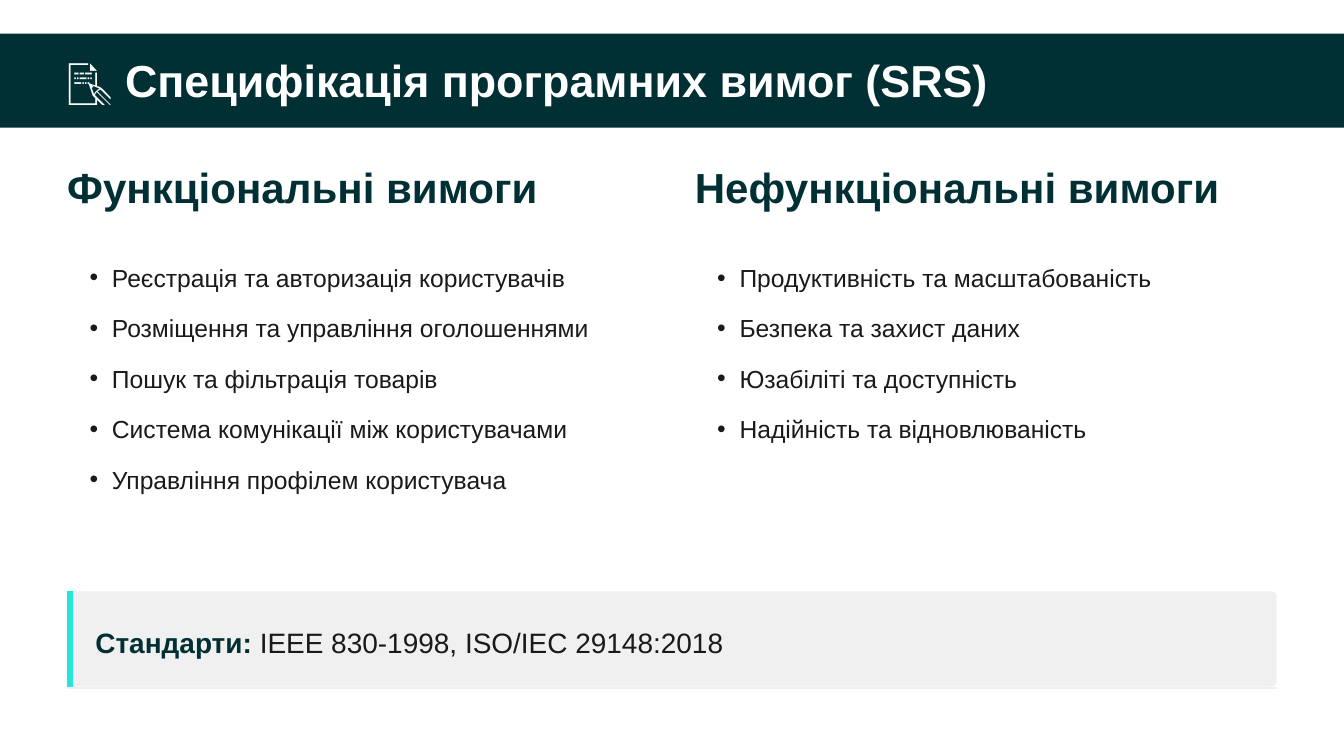
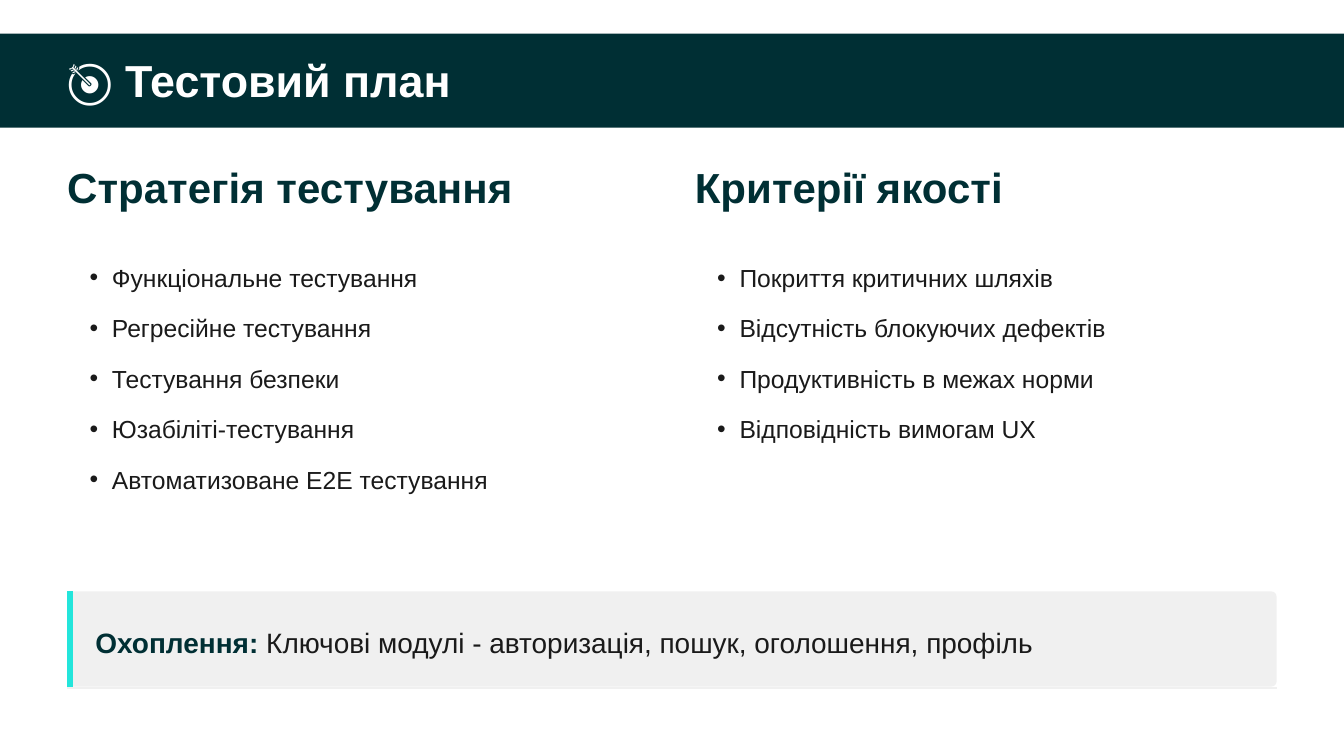
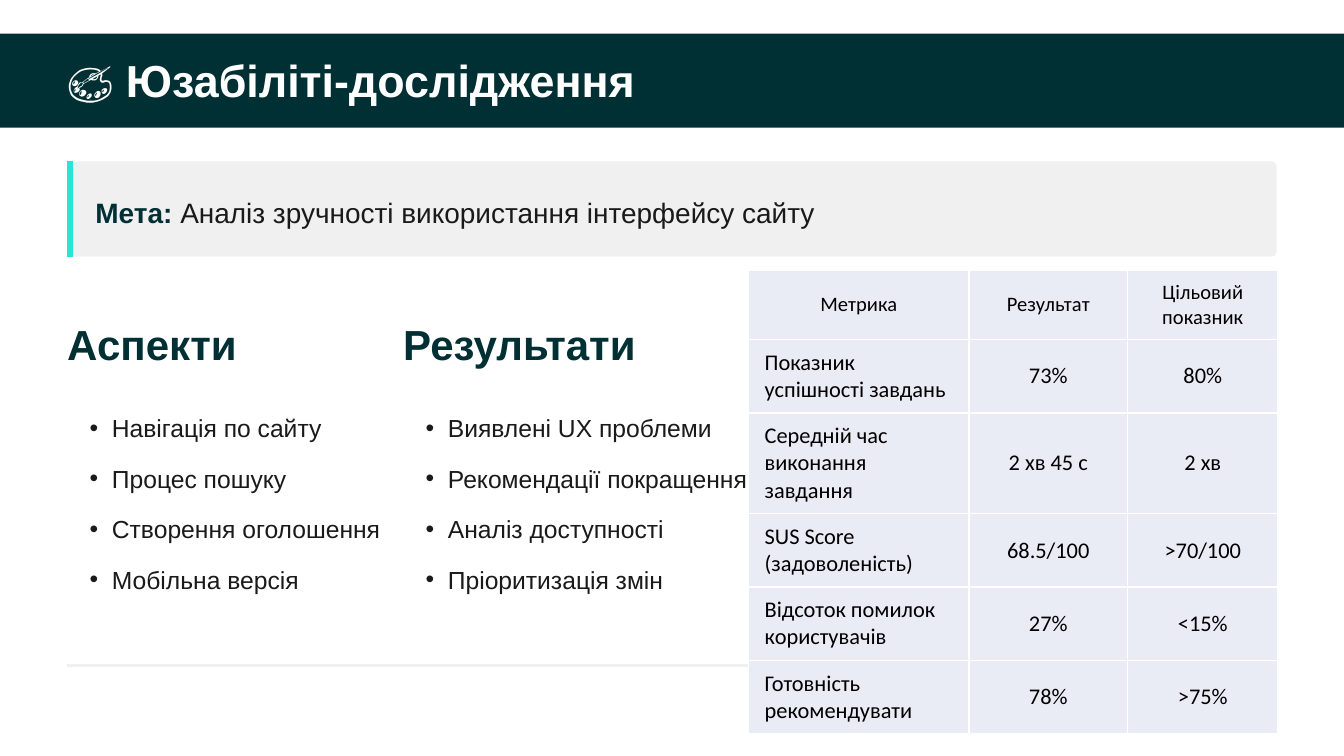
from dataclasses import dataclass

from lxml.etree import SubElement
from pptx import Presentation
from pptx.dml.color import RGBColor
from pptx.enum.shapes import MSO_CONNECTOR, MSO_SHAPE
from pptx.enum.text import MSO_ANCHOR, MSO_AUTO_SIZE, PP_ALIGN
from pptx.oxml.ns import qn
from pptx.util import Inches, Pt


@dataclass(frozen=True)
class Theme:
    font: str = "Arial"
    table_font: str = "Calibri"
    dark: str = "002F34"
    accent: str = "23E5DB"
    panel: str = "F0F0F0"
    cell: str = "E9EBF5"
    ink: str = "1A1A1A"
    black: str = "000000"
    white: str = "FFFFFF"
    title: float = 24
    heading: float = 22.5
    callout: float = 15
    body: float = 13.2
    table_head: float = 11
    table_body: float = 12


T = Theme()
W = 10
H = W * 9 / 16
MARGIN = 0.5
CONTENT_W = W - 2 * MARGIN
BAND_TOP, BAND_H = 0.25, 0.7
CALLOUT_H = 0.71
BULLET_INDENT = 12 / 72
BULLET_STEP = (19.8 + 7.2) / 72

# Each column: left, heading width, list width, heading, items
SLIDES = [
    {
        "title": "📝 Специфікація програмних вимог (SRS)",
        "title_w": 7.08,
        "callout": (4.4, "Стандарти:", " IEEE 830-1998, ISO/IEC 29148:2018"),
        "divider": 5.12,
        "list_tops": (1.2, 1.9),
        "columns": [
            (0.5, 4.42, 4.33, "Функціональні вимоги", [
                "Реєстрація та авторизація користувачів",
                "Розміщення та управління оголошеннями",
                "Пошук та фільтрація товарів",
                "Система комунікації між користувачами",
                "Управління профілем користувача"]),
            (5.17, 4.42, 4.33, "Нефункціональні вимоги", [
                "Продуктивність та масштабованість",
                "Безпека та захист даних",
                "Юзабіліті та доступність",
                "Надійність та відновлюваність"]),
        ],
    },
    {
        "title": "🎯 Тестовий план",
        "title_w": 4.6,
        "callout": (4.4, "Охоплення:", " Ключові модулі - авторизація, пошук, оголошення, профіль"),
        "divider": 5.12,
        "list_tops": (1.2, 1.9),
        "columns": [
            (0.5, 4.42, 4.33, "Стратегія тестування", [
                "Функціональне тестування",
                "Регресійне тестування",
                "Тестування безпеки",
                "Юзабіліті-тестування",
                "Автоматизоване E2E тестування"]),
            (5.17, 4.42, 4.33, "Критерії якості", [
                "Покриття критичних шляхів",
                "Відсутність блокуючих дефектів",
                "Продуктивність в межах норми",
                "Відповідність вимогам UX"]),
        ],
    },
    {
        "title": "🎨 Юзабіліті-дослідження",
        "title_w": 4.6,
        "callout": (1.2, "Мета:", " Аналіз зручності використання інтерфейсу сайту"),
        "divider": 4.95,
        "list_tops": (2.37, 3.02),
        "columns": [
            (0.5, 4.42, 2.4, "Аспекти", [
                "Навігація по сайту",
                "Процес пошуку",
                "Створення оголошення",
                "Мобільна версія"]),
            (3, 2.71, 2.66, "Результати", [
                "Виявлені UX проблеми",
                "Рекомендації покращення",
                "Аналіз доступності",
                "Пріоритизація змін"]),
        ],
        "table": [
            ("Метрика", "Результат", "Цільовий показник"),
            ("Показник успішності завдань", "73%", "80%"),
            ("Середній час виконання завдання", "2 хв 45 с", "2 хв"),
            ("SUS Score (задоволеність)", "68.5/100", ">70/100"),
            ("Відсоток помилок користувачів", "27%", "<15%"),
            ("Готовність рекомендувати", "78%", ">75%"),
        ],
    },
]
TABLE_AT = (5.57, 2.01)
TABLE_COLS = (1.64, 1.18, 1.12)
TABLE_ROWS = (0.47, 0.5, 0.69, 0.5, 0.5, 0.5)


def rgb(color):
    return RGBColor.from_string(color)


def style(r, size, color, bold=False, font=T.font):
    r.font.name, r.font.size, r.font.bold = font, Pt(size), bold
    r.font.color.rgb = rgb(color)


def place(sp, x, y, w, h):
    sp.left, sp.top, sp.width, sp.height = map(Inches, (x, y, w, h))


def prepare(tf, left=0):
    tf.margin_left = Inches(left)
    tf.margin_top = tf.margin_right = tf.margin_bottom = 0
    tf.word_wrap, tf.auto_size = True, MSO_AUTO_SIZE.NONE
    tf.vertical_anchor = MSO_ANCHOR.TOP
    return tf


def add_text(slide, x, y, w, h, left=0):
    sp = slide.shapes.add_textbox(*map(Inches, (x, y, w, h)))
    return prepare(sp.text_frame, left)


def add_panel(slide, kind, x, y, w, h, color):
    sp = slide.shapes.add_shape(kind, *map(Inches, (x, y, w, h)))
    sp.shadow.inherit = False
    sp.fill.solid()
    sp.fill.fore_color.rgb = rgb(color)
    sp.line.fill.background()
    return sp


def add_line(slide, x1, y1, x2, y2, color, width):
    line = slide.shapes.add_connector(MSO_CONNECTOR.STRAIGHT, *map(Inches, (x1, y1, x2, y2)))
    line.line.color.rgb = rgb(color)
    line.line.width = Pt(width)
    SubElement(line.element.spPr, qn("a:effectLst"))


def add_title(slide, text, width):
    title = slide.shapes.title
    band = add_panel(slide, MSO_SHAPE.RECTANGLE, 0, BAND_TOP, W, BAND_H, T.dark)
    title.element.addprevious(band.element)
    place(title, MARGIN, 0.42, width, 0.37)
    tf = prepare(title.text_frame)
    tf.text = text
    p = tf.paragraphs[0]
    p.alignment, p.line_spacing = PP_ALIGN.LEFT, Pt(26.7)
    p.space_before = Pt(0)
    style(p.runs[0], T.title, T.white, True)


def add_callout(slide, top, label, text):
    sp = add_panel(slide, MSO_SHAPE.ROUNDED_RECTANGLE, MARGIN, top, CONTENT_W, CALLOUT_H, T.panel)
    sp.adjustments[0] = 0.06
    bar_x = MARGIN + 0.02
    add_line(slide, bar_x, top, bar_x, top + CALLOUT_H, T.accent, 3)
    p = add_text(slide, 0.71, top + 0.21, 8.8, 0.29).paragraphs[0]
    p.line_spacing = Pt(21)
    for part, color, bold in ((label, T.dark, True), (text, T.ink, False)):
        r = p.add_run()
        r.text = part
        style(r, T.callout, color, bold)


def add_bullet(p):
    pPr = p._p.get_or_add_pPr()
    pPr.set("marL", str(Inches(BULLET_INDENT)))
    pPr.set("indent", str(-Inches(BULLET_INDENT)))
    SubElement(pPr, qn("a:buFont"), typeface=T.font)
    SubElement(pPr, qn("a:buChar"), char="•")


def add_column(slide, tops, x, heading_w, list_w, heading, items):
    tf = add_text(slide, x, tops[0], heading_w, 0.38)
    tf.text = heading
    p = tf.paragraphs[0]
    p.line_spacing = Pt(27)
    style(p.runs[0], T.heading, T.dark, True)

    tf = add_text(slide, x, tops[1], list_w, len(items) * BULLET_STEP + 0.15, BULLET_INDENT)
    tf.text = "\n".join(items)
    for p in tf.paragraphs:
        add_bullet(p)
        p.line_spacing, p.space_after = Pt(19.8), Pt(7.2)
        style(p.runs[0], T.body, T.ink)


def add_borders(cell):
    tcPr = cell._tc.get_or_add_tcPr()
    for side in ("lnL", "lnR", "lnT", "lnB"):
        ln = SubElement(tcPr, qn(f"a:{side}"), w=str(Pt(1)))
        fill = SubElement(ln, qn("a:solidFill"))
        SubElement(fill, qn("a:srgbClr"), val=T.white)


def add_metrics(slide, rows):
    frame = slide.shapes.add_table(
        len(rows), len(TABLE_COLS),
        *map(Inches, (*TABLE_AT, sum(TABLE_COLS), sum(TABLE_ROWS))))
    table = frame.table
    table.first_row = table.horz_banding = False
    for col, w in zip(table.columns, TABLE_COLS):
        col.width = Inches(w)
    for i, (row, h) in enumerate(zip(table.rows, TABLE_ROWS)):
        row.height = Inches(h)
        for j, cell in enumerate(row.cells):
            is_label = i > 0 and j == 0
            add_borders(cell)
            cell.fill.solid()
            cell.fill.fore_color.rgb = rgb(T.cell)
            cell.margin_left = cell.margin_right = Inches(0.12)
            cell.margin_top = cell.margin_bottom = Inches(0.07)
            cell.vertical_anchor = MSO_ANCHOR.TOP if is_label else MSO_ANCHOR.MIDDLE
            cell.text_frame.text = rows[i][j]
            p = cell.text_frame.paragraphs[0]
            p.alignment = PP_ALIGN.LEFT if is_label else PP_ALIGN.CENTER
            size = T.table_body if i else T.table_head
            style(p.runs[0], size, T.black, font=T.table_font)


def main():
    prs = Presentation()
    prs.slide_width, prs.slide_height = Inches(W), Inches(H)
    for content in SLIDES:
        slide = prs.slides.add_slide(prs.slide_layouts[5])
        slide.background.fill.solid()
        slide.background.fill.fore_color.rgb = rgb(T.white)
        add_title(slide, content["title"], content["title_w"])
        add_callout(slide, *content["callout"])
        for column in content["columns"]:
            add_column(slide, content["list_tops"], *column)
        y = content["divider"]
        add_line(slide, MARGIN, y, W - MARGIN, y, T.panel, 1.5)
        if "table" in content:
            add_metrics(slide, content["table"])
    prs.save("out.pptx")


if __name__ == "__main__":
    main()
